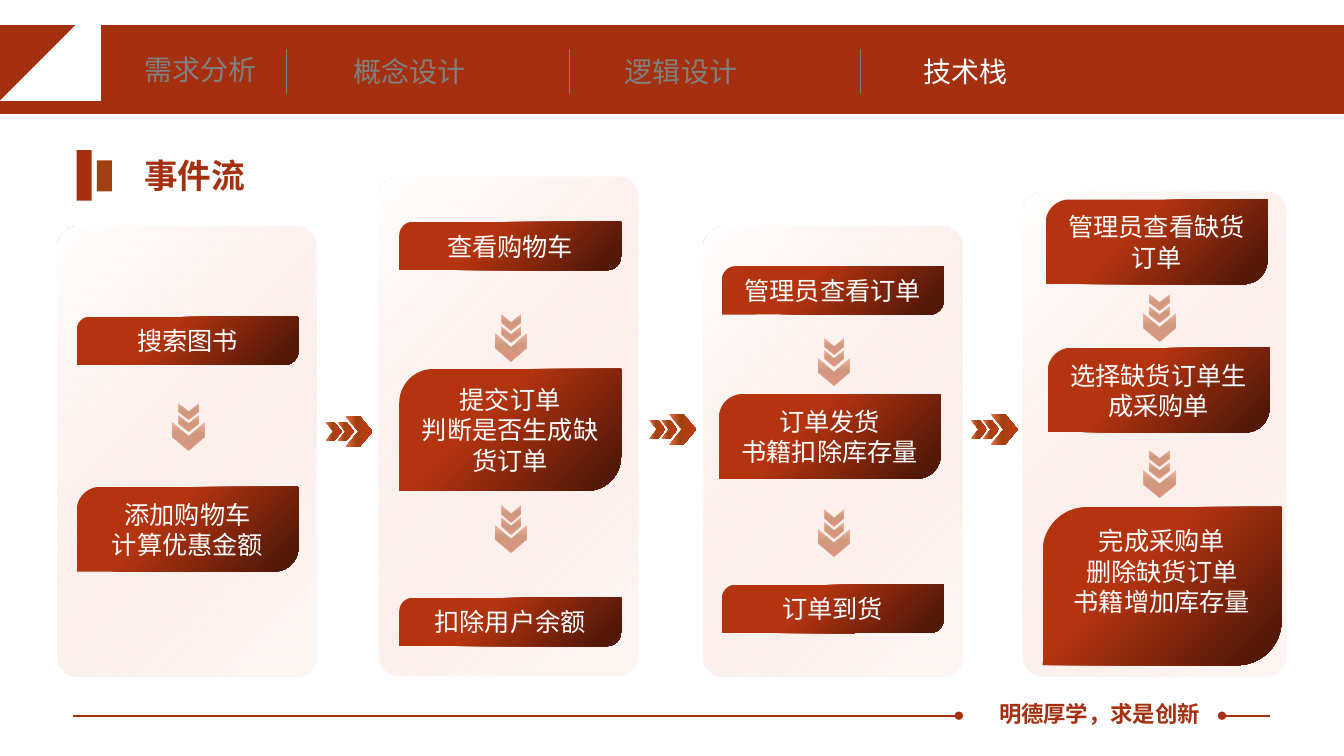
from pptx import Presentation
from pptx.dml.color import RGBColor
from pptx.enum.shapes import MSO_CONNECTOR, MSO_SHAPE
from pptx.enum.text import MSO_ANCHOR, PP_ALIGN
from pptx.oxml import parse_xml
from pptx.oxml.ns import nsdecls, qn
from pptx.util import Inches, Pt
from lxml.etree import SubElement

RED = RGBColor(0xA5, 0x30, 0x0F)
BROWN = RGBColor(0xA0, 0x42, 0x10)
GREY = RGBColor(0x80, 0x80, 0x80)
WHITE = RGBColor(0xFF, 0xFF, 0xFF)
PINK = RGBColor(0xF9, 0xCF, 0xC3)
BRICK = RGBColor(0xB4, 0x34, 0x10)
DARK = RGBColor(0x52, 0x18, 0x08)
SALMON = RGBColor(0xEE, 0x6E, 0x4A)
ORANGE = RGBColor(0xC3, 0x39, 0x12)
CJK = "Noto Sans CJK SC"

CARD_STOPS = [(0, WHITE, 100), (90, PINK, 20)]
STEP_STOPS = [(38, BRICK, 100), (92, DARK, 100)]

NAV = [
    ("需求分析", 1.33, 0.47, 1.32, GREY),
    ("概念设计", 3.41, 0.49, 1.32, GREY),
    ("逻辑设计", 6.1, 0.49, 1.32, GREY),
    ("技术栈", 9.06, 0.49, 1.04, WHITE),
]
CARDS = [
    (0.57, 2.25, 2.57, 4.46),
    (3.76, 1.75, 2.57, 4.95),
    (6.98, 2.25, 2.57, 4.46),
    (10.14, 1.9, 2.62, 4.81),
]
STEPS = [
    (0.76, 3.14, 2.2, 0.48, ["搜索图书"]),
    (0.76, 4.83, 2.2, 0.84, ["添加购物车", "计算优惠金额"]),
    (3.96, 2.2, 2.2, 0.48, ["查看购物车"]),
    (3.96, 3.66, 2.2, 1.21, ["提交订单", "判断是否生成缺货订单"]),
    (3.96, 5.93, 2.2, 0.48, ["扣除用户余额"]),
    (7.16, 2.64, 2.2, 0.48, ["管理员查看订单"]),
    (7.13, 3.91, 2.2, 0.84, ["订单发货", "书籍扣除库存量"]),
    (7.16, 5.8, 2.2, 0.48, ["订单到货"]),
    (10.37, 1.98, 2.2, 0.84, ["管理员查看缺货订单"]),
    (10.39, 3.45, 2.2, 0.84, ["选择缺货订单生成采购单"]),
]
LAST_STEP = (10.34, 5.03, 2.37, 1.57, ["完成采购单", "删除缺货订单", "书籍增加库存量"])
RIGHT_ARROWS = [(3.31, 4.28), (6.52, 4.26), (9.71, 4.26)]
DOWN_ARROWS = [
    (1.87, 4.08), (5.07, 3.2), (5.07, 5.1), (8.27, 3.44),
    (8.27, 5.14), (11.5, 3), (11.5, 4.55),
]
CAP = [
    [(0.94, 0.84), (0.99, 0.82), (0.99, 0.7), (0.94, 0.72)],
    [(0.45, 0.7), (0.45, 0.82), (0.7, 0.94), (0.74, 0.94), (0.89, 0.86),
     (0.89, 0.75), (0.72, 0.83)],
    [(0.93, 0.69), (0.76, 0.6), (0.75, 0.56), (0.72, 0.55), (0.69, 0.56),
     (0.68, 0.59), (0.69, 0.61), (0.72, 0.62), (0.75, 0.61), (0.91, 0.71),
     (0.91, 0.84), (0.9, 0.86), (0.91, 0.89), (0.9, 0.89), (0.88, 1.12),
     (0.96, 1.12), (0.94, 0.89), (0.93, 0.89), (0.94, 0.86), (0.93, 0.84)],
    [(1.14, 0.59), (0.72, 0.38), (0.3, 0.58), (0.3, 0.59), (0.72, 0.79),
     (0.89, 0.71), (0.75, 0.63), (0.72, 0.64), (0.68, 0.62), (0.67, 0.59),
     (0.68, 0.56), (0.72, 0.54), (0.76, 0.56), (0.77, 0.59), (0.94, 0.68)],
]


def add_box(shapes, kind, x, y, w, h, color=None):
    sp = shapes.add_shape(kind, Inches(x), Inches(y), Inches(w), Inches(h))
    sp.shadow.inherit = False
    sp.line.fill.background()
    if color is not None:
        sp.fill.solid()
        sp.fill.fore_color.rgb = color
    return sp


def set_gradient(sp, stops, angle):
    gs = "".join(
        f'<a:gs pos="{pos * 1000}"><a:srgbClr val="{color}">'
        f'<a:alpha val="{alpha * 1000}"/></a:srgbClr></a:gs>'
        for pos, color, alpha in stops)
    grad = parse_xml(
        f'<a:gradFill {nsdecls("a")} rotWithShape="1"><a:gsLst>{gs}</a:gsLst>'
        f'<a:lin ang="{angle * 60000}" scaled="0"/></a:gradFill>')
    sp._element.spPr.find(qn("a:prstGeom")).addnext(grad)


def add_run(p, text, size, color, font="Arial", bold=False):
    r = p.add_run()
    r.text = text
    r.font.size = Pt(size)
    r.font.bold = bold
    r.font.name = font
    r.font.color.rgb = color
    SubElement(r._r.get_or_add_rPr(), qn("a:ea")).set("typeface", CJK)


def add_label(s, text, x, y, w, h, size, color, font="Arial", bold=False):
    tb = s.shapes.add_textbox(Inches(x), Inches(y), Inches(w), Inches(h))
    tb.text_frame.word_wrap = False
    add_run(tb.text_frame.paragraphs[0], text, size, color, font, bold)


def add_line(s, x1, y1, x2, y2, color, width, oval_end=None):
    c = s.shapes.add_connector(
        MSO_CONNECTOR.STRAIGHT, Inches(x1), Inches(y1), Inches(x2), Inches(y2))
    c.line.color.rgb = color
    c.line.width = Pt(width)
    if oval_end:
        SubElement(c.line._get_or_add_ln(), qn(f"a:{oval_end}")).set("type", "oval")
    SubElement(c._element.spPr, qn("a:effectLst"))


def add_cap(s):
    fb = s.shapes.build_freeform(scale=Inches(1))
    for i, outline in enumerate(CAP):
        if i == 0:
            fb = s.shapes.build_freeform(*outline[0], scale=Inches(1))
        else:
            fb.move_to(*outline[0])
        fb.add_line_segments(outline[1:], close=True)
    sp = fb.convert_to_shape()
    sp.shadow.inherit = False
    sp.fill.solid()
    sp.fill.fore_color.rgb = WHITE
    sp.line.fill.background()


def add_card(s, x, y, w, h):
    sp = add_box(s.shapes, MSO_SHAPE.ROUNDED_RECTANGLE, x, y, w, h)
    sp.adjustments[0] = 0.08
    set_gradient(sp, CARD_STOPS, 45)


def add_step(s, x, y, w, h, lines, bottom=0.05):
    sp = add_box(s.shapes, MSO_SHAPE.ROUND_2_DIAG_RECTANGLE, x, y, w, h)
    sp.adjustments[0] = 0.28
    sp.adjustments[1] = 0
    set_gradient(sp, STEP_STOPS, 45)
    tf = sp.text_frame
    tf.word_wrap = True
    tf.vertical_anchor = MSO_ANCHOR.MIDDLE
    tf.margin_bottom = Inches(bottom)
    for i, line in enumerate(lines):
        p = tf.add_paragraph() if i else tf.paragraphs[0]
        p.alignment = PP_ALIGN.CENTER
        add_run(p, line, 18, WHITE)


def add_triple_chevron(s, cx, cy, down=False):
    alpha = 50 if down else 100
    stops = [(0, SALMON, alpha), (40, BROWN, alpha), (96, ORANGE, alpha)]
    group = s.shapes.add_group_shape()
    for shift, w, h in [(0.25, 0.27, 0.31), (0.12, 0.16, 0.19), (0, 0.16, 0.19)]:
        x = cx - w / 2 + (0 if down else shift)
        y = cy - h / 2 + (shift if down else 0)
        sp = add_box(group.shapes, MSO_SHAPE.CHEVRON, x, y, w, h)
        sp.adjustments[0] = 0.48
        sp.rotation = 90 if down else 0
        set_gradient(sp, stops, 0)


def main():
    prs = Presentation()
    prs.slide_width, prs.slide_height = Inches(13.33), Inches(7.5)
    s = prs.slides.add_slide(prs.slide_layouts[6])

    add_box(s.shapes, MSO_SHAPE.RECTANGLE, 0, 0.25, 13.33, 0.88, RED)
    add_cap(s)
    add_label(s, "明德厚学，求是创新", 9.81, 6.9, 2.22, 0.37, 16, RED, bold=True)
    add_line(s, 0.72, 7.1, 9.51, 7.1, RED, 1.25, "tailEnd")
    add_line(s, 12.12, 7.1, 12.6, 7.1, RED, 1.25, "headEnd")
    for text, x, y, w, color in NAV:
        add_label(s, text, x, y, w, 0.44, 20, color, CJK)
    for x in (2.84, 5.65, 8.53):
        add_line(s, x, 0.49, x, 0.93, GREY, 0.5)

    for card in CARDS:
        add_card(s, *card)
    add_label(s, "事件流", 1.33, 1.49, 1.21, 0.5, 24, RED, bold=True)
    add_box(s.shapes, MSO_SHAPE.RECTANGLE, 0.76, 1.49, 0.15, 0.5, RED)
    add_box(s.shapes, MSO_SHAPE.RECTANGLE, 0.96, 1.59, 0.15, 0.31, BROWN)
    for step in STEPS:
        add_step(s, *step)
    add_step(s, *LAST_STEP, bottom=0.35)
    for cx, cy in RIGHT_ARROWS:
        add_triple_chevron(s, cx, cy)
    for cx, cy in DOWN_ARROWS:
        add_triple_chevron(s, cx, cy, down=True)

    prs.save("out.pptx")


if __name__ == "__main__":
    main()
